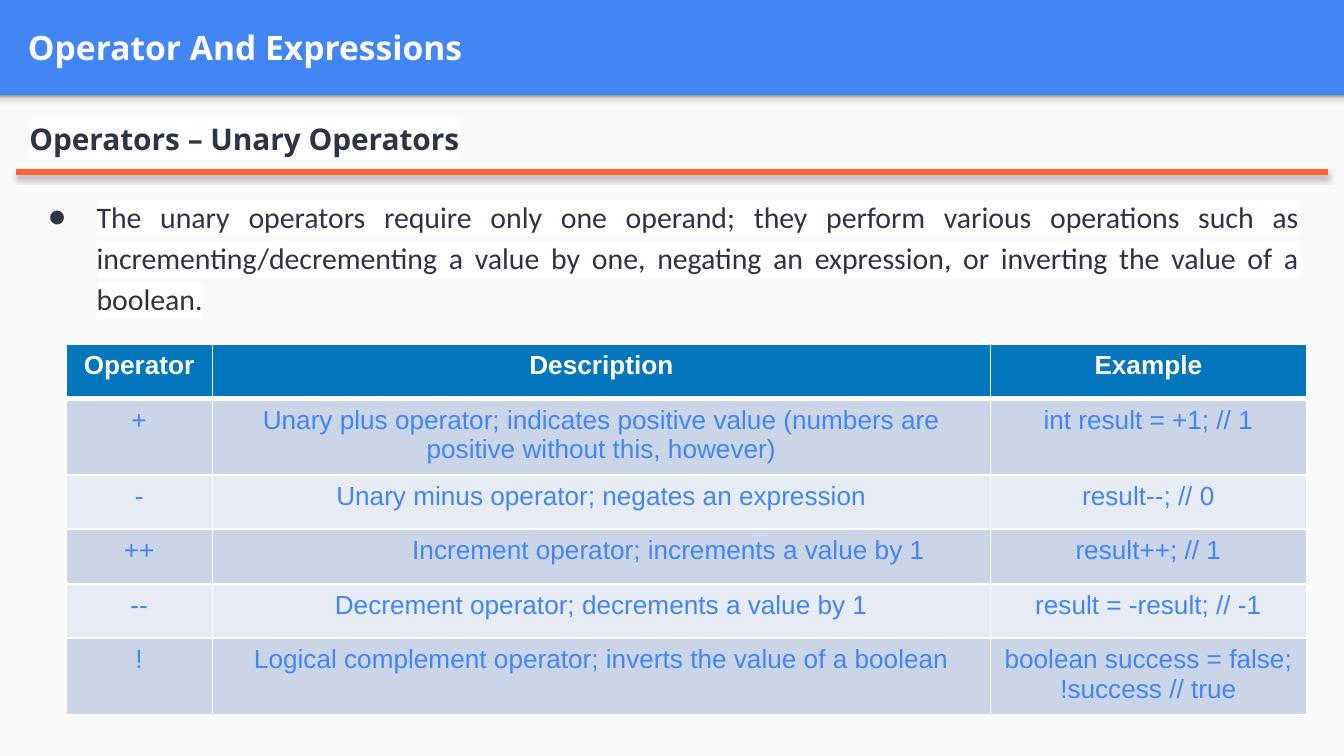
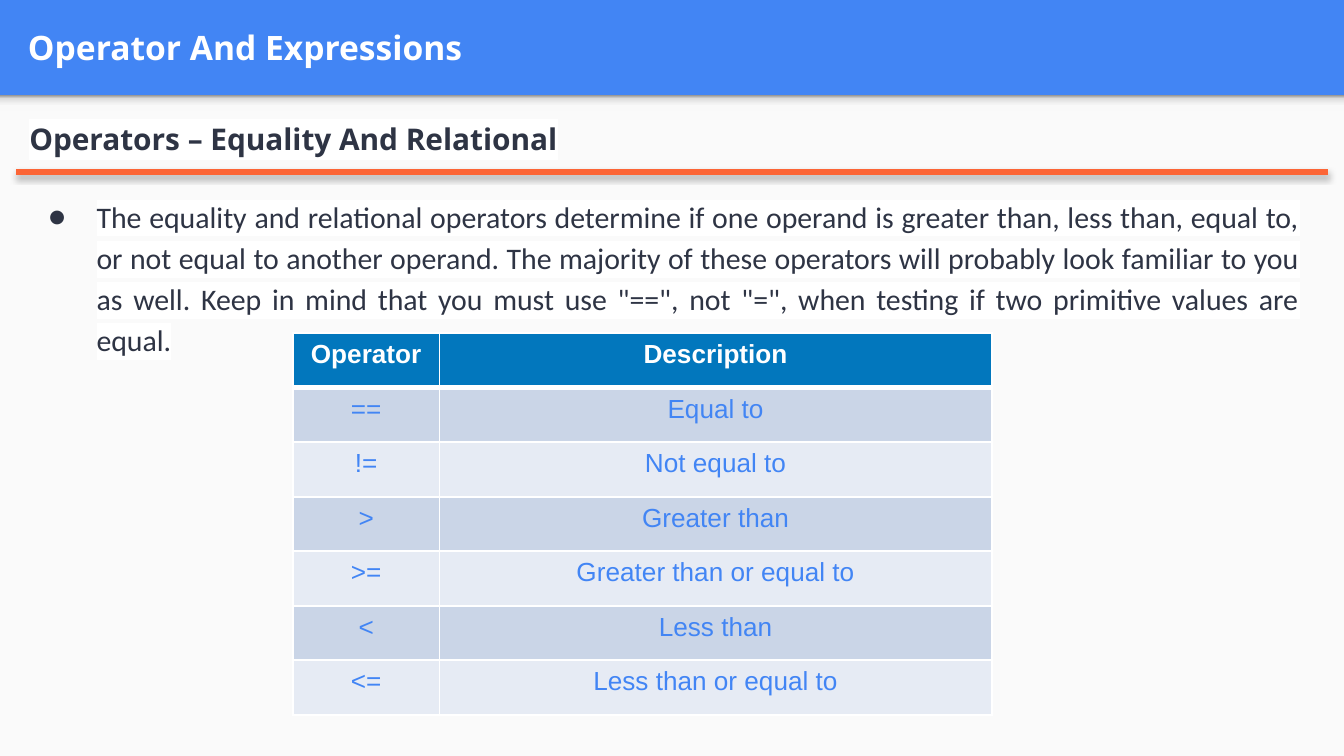
"""Build two slides on unary, equality and relational operators."""
import pptx
import pptx.util
import pptx.dml.color
import pptx.enum.shapes
import pptx.enum.text
import pptx.oxml
import pptx.oxml.ns

Inches = pptx.util.Inches
Pt = pptx.util.Pt
RGB = pptx.dml.color.RGBColor
Align = pptx.enum.text.PP_ALIGN
Anchor = pptx.enum.text.MSO_ANCHOR
Rect = pptx.enum.shapes.MSO_SHAPE.RECTANGLE
Line = pptx.enum.shapes.MSO_CONNECTOR.STRAIGHT
qn = pptx.oxml.ns.qn

BLUE = RGB(0x42, 0x85, 0xF4)
PAPER = RGB(0xFA, 0xFA, 0xFA)
INK = RGB(0x2E, 0x34, 0x44)
WHITE = RGB(0xFF, 0xFF, 0xFF)
ORANGE = RGB(0xFC, 0x65, 0x36)
HEAD = RGB(0x02, 0x77, 0xBD)
BANDS = [RGB(0xE6, 0xEB, 0xF4), RGB(0xCA, 0xD5, 0xE7)]
FADE = [(0, RGB(0xF9, 0xF9, 0xF9)), (36, RGB(0xF9, 0xF9, 0xF9)),
        (80, RGB(0xDE, 0xDE, 0xDE)), (100, RGB(0x99, 0x99, 0x99))]

TITLE = {"name": "Open Sans", "size": Pt(18), "bold": True}
TOPIC = {"name": "Open Sans", "size": Pt(16), "bold": True}
BODY = {"name": "Calibri", "size": Pt(16), "bold": False}
LABEL = {"name": "Arial", "size": Pt(14), "bold": True}
CELL = {"name": "Arial", "size": Pt(14), "bold": False}
PAD = {"margin_left": Inches(0.1), "margin_right": Inches(0.1),
       "margin_top": Inches(0.1), "margin_bottom": Inches(0.1), "word_wrap": True}
WIDE = Inches(10)
HIGH = WIDE * 9 // 16
ROW = Pt(29.2)
SHIFTED = "Increment operator; increments a value by 1"

PAGES = [
    {"topic": "Operators – Unary Operators",
     "body": "The unary operators require only one operand; they perform various "
             "operations such as incrementing/decrementing a value by one, negating "
             "an expression, or inverting the value of a boolean.",
     "at": (0.49, 2.56), "cols": [1.09, 5.79, 2.35],
     "rows": [
         ["Operator", "Description", "Example"],
         ["+", "Unary plus operator; indicates positive value (numbers are "
               "positive without this, however)", "int result = +1; // 1"],
         ["-", "Unary minus operator; negates an expression", "result--; // 0"],
         ["++", SHIFTED, "result++; // 1"],
         ["--", "Decrement operator; decrements a value by 1", "result = -result; // -1"],
         ["!", "Logical complement operator; inverts the value of a boolean",
          "boolean success = false;\n!success // true"]]},
    {"topic": "Operators – Equality And Relational",
     "body": "The equality and relational operators determine if one operand is "
             "greater than, less than, equal to, or not equal to another operand. "
             "The majority of these operators will probably look familiar to you as "
             "well. Keep in mind that you must use \"==\", not \"=\", when testing if "
             "two primitive values are equal.",
     "at": (2.18, 2.48), "cols": [1.09, 4.11],
     "rows": [
         ["Operator", "Description"],
         ["==", "Equal to"],
         ["!=", "Not equal to"],
         [">", "Greater than"],
         [">=", "Greater than or equal to"],
         ["<", "Less than"],
         ["<=", "Less than or equal to"]]},
]


def node(tag, inner="", **attrs):
    pairs = "".join(f' {key}="{val}"' for key, val in attrs.items())
    space = pptx.oxml.ns.nsdecls("a")
    return pptx.oxml.parse_xml(f"<a:{tag} {space}{pairs}>{inner}</a:{tag}>")


def style(item, form, color=None):
    for key, val in form.items():
        setattr(item, key, val)
    if color is not None:
        item.color.rgb = color


deck = pptx.Presentation()
deck.slide_width = WIDE
deck.slide_height = HIGH

for page in PAGES:
    slide = deck.slides.add_slide(deck.slide_layouts[6])
    slide.background.fill.solid()
    slide.background.fill.fore_color.rgb = BLUE
    shapes = slide.shapes

    panel = shapes.add_shape(Rect, 0, Inches(0.72), WIDE, HIGH - Inches(0.72))
    shade = shapes.add_shape(Rect, 0, Inches(0.71), WIDE, Inches(0.12))
    for shape in (panel, shade):
        shape.shadow.inherit = False
        shape.line.fill.background()
    panel.fill.solid()
    panel.fill.fore_color.rgb = PAPER
    shade.fill.gradient()
    shade.fill.gradient_angle = 90
    stops = shade.element.spPr.find(qn("a:gradFill")).find(qn("a:gsLst"))
    for stop in list(stops):
        stops.remove(stop)
    for pos, tone in FADE:
        stops.append(node("gs", f'<a:srgbClr val="{tone}"/>', pos=pos * 1000))

    title = shapes.add_textbox(Inches(0.11), Inches(0.02), Inches(9.65), Inches(0.66))
    style(title.text_frame, {**PAD, "vertical_anchor": Anchor.MIDDLE})
    run = title.text_frame.paragraphs[0].add_run()
    run.text = "Operator And Expressions"
    style(run.font, TITLE, WHITE)

    box = shapes.add_textbox(Inches(0.12), Inches(0.76), Inches(9.65), Inches(1.98))
    frame = box.text_frame
    style(frame, PAD)
    topic, body = frame.paragraphs[0], frame.add_paragraph()
    for para, words, form in ((topic, page["topic"], TOPIC), (body, page["body"], BODY)):
        para.line_spacing = 1.15
        run = para.add_run()
        run.text = words
        style(run.font, form, INK)
        fill = run.font._element.find(qn("a:solidFill"))
        fill.addnext(node("highlight", f'<a:srgbClr val="{WHITE}"/>'))
    style(body, {"alignment": Align.JUSTIFY, "space_before": Pt(19.5)})
    props = body._p.get_or_add_pPr()
    props.set("marL", str(Inches(0.5)))
    props.set("indent", str(Inches(-0.36)))
    props.append(node("buClr", f'<a:srgbClr val="{INK}"/>'))
    props.append(node("buFont", typeface="Calibri"))
    props.append(node("buChar", char="●"))

    rule = shapes.add_connector(Line, Inches(0.12), Inches(1.28), Inches(9.88), Inches(1.28))
    style(rule.line, {"width": Pt(3)}, ORANGE)
    glow = ('<a:outerShdw blurRad="40000" dist="23000" dir="5400000" rotWithShape="0">'
            '<a:srgbClr val="000000"><a:alpha val="35000"/></a:srgbClr></a:outerShdw>')
    rule._element.spPr.append(node("effectLst", glow))

    rows, cols = page["rows"], page["cols"]
    left, top = page["at"]
    table = shapes.add_table(len(rows), len(cols), Inches(left), Inches(top),
                             Inches(sum(cols)), ROW * len(rows)).table
    for col, width in zip(table.columns, cols):
        col.width = Inches(width)
    for r, row in enumerate(rows):
        table.rows[r].height = ROW
        for c, words in enumerate(row):
            cell = table.cell(r, c)
            cell.text = words
            cell.fill.solid()
            cell.fill.fore_color.rgb = BANDS[r % 2] if r else HEAD
            for para in cell.text_frame.paragraphs:
                para.alignment = Align.CENTER
                if words == SHIFTED:
                    para._p.get_or_add_pPr().set("marL", str(Inches(1)))
                for run in para.runs:
                    style(run.font, CELL if r else LABEL, BLUE if r else WHITE)
            edges = {"lnL": 1, "lnR": 1, "lnT": 3 if r == 1 else 1, "lnB": 1 if r else 3}
            for i, (tag, width) in enumerate(edges.items()):
                paint = f'<a:solidFill><a:srgbClr val="{WHITE}"/></a:solidFill>'
                cell._tc.get_or_add_tcPr().insert(i, node(tag, paint, w=Pt(width)))

deck.save("out.pptx")
